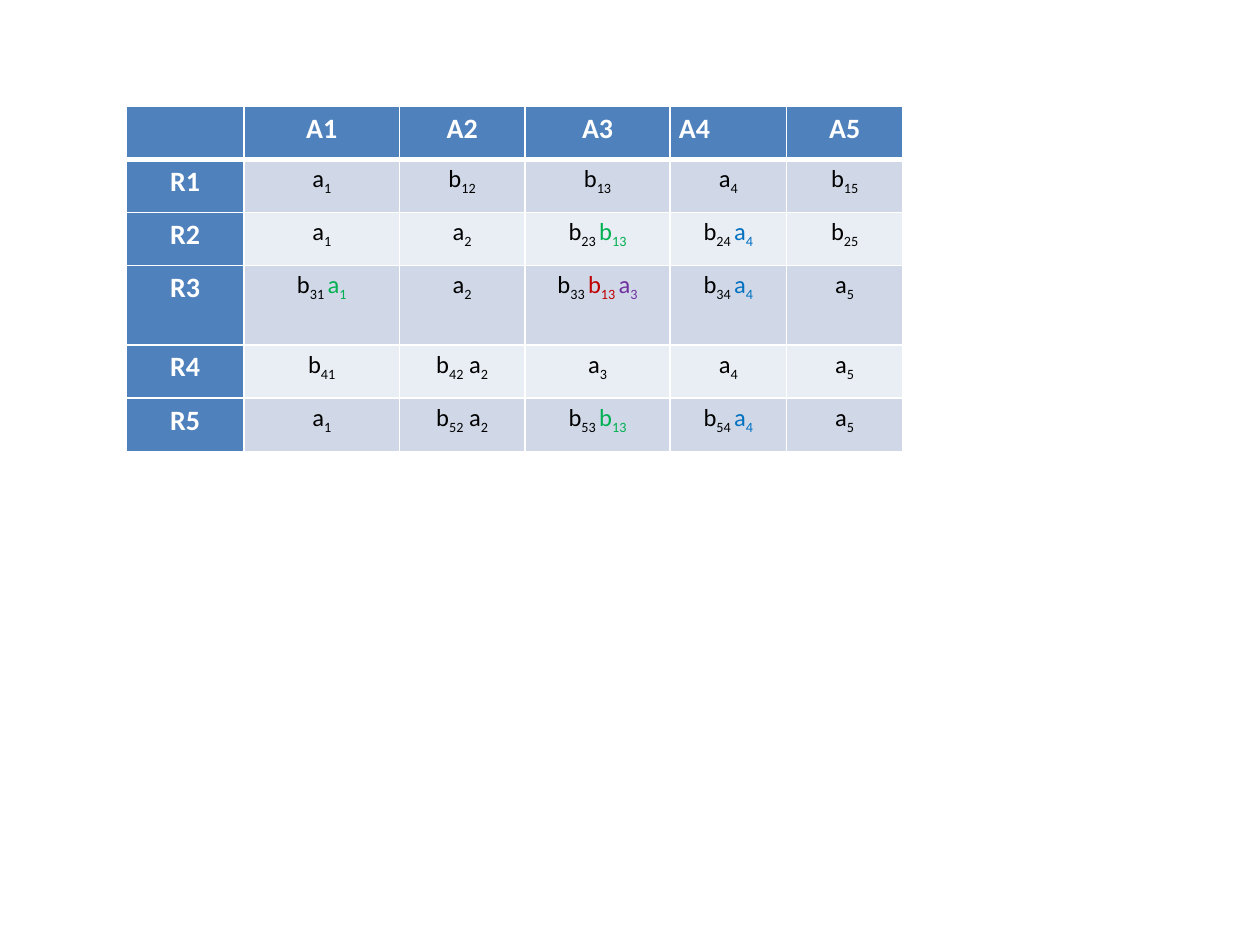
import pptx
import pptx.dml.color
import pptx.enum.text
import pptx.oxml
import pptx.oxml.ns
import pptx.util

Pt = pptx.util.Pt
ALIGN = pptx.enum.text.PP_ALIGN
BLUE, WHITE, BLACK = "4F81BD", "FFFFFF", "000000"
GREEN, SKY, RED, PURPLE = "00B050", "0070C0", "C00000", "7030A0"
BANDS = ("D0D8E8", "E9EDF4")

COLUMN_WIDTHS = (67.5, 88.75, 71.75, 83, 66.5, 66.5)
ROW_HEIGHTS = (30.35, 30.35, 30.35, 45.5, 30.35, 30.35)
HEADERS = ("", "А1", "А2", "А3", "А4", "А5")

# Each symbol is a letter with its index, or a (symbol, colour) pair
ROWS = {
    "R1": (["a1"], ["b12"], ["b13"], ["a4"], ["b15"]),
    "R2": (["a1"], ["a2"], ["b23", ("b13", GREEN)], ["b24", ("a4", SKY)], ["b25"]),
    "R3": (["b31", ("a1", GREEN)], ["a2"],
           ["b33", ("b13", RED), ("a3", PURPLE)], ["b34", ("a4", SKY)], ["a5"]),
    "R4": (["b41"], ["b42", "a2"], ["a3"], ["a4"], ["a5"]),
    "R5": (["a1"], ["b52", "a2"], ["b53", ("b13", GREEN)], ["b54", ("a4", SKY)], ["a5"]),
}


def rgb(color):
    return pptx.dml.color.RGBColor.from_string(color)


def add_run(paragraph, text, size, color, bold=False, subscript=False):
    run = paragraph.add_run()
    run.text = text
    run.font.name = "Calibri"
    run.font.size = Pt(size)
    run.font.bold = bold
    run.font.color.rgb = rgb(color)
    if subscript:
        run.font._element.set("baseline", "-25000")


def format_cell(cell, fill, top=1, bottom=1):
    """Set borders, fill and margins; return the cell's paragraph."""
    properties = cell._tc.get_or_add_tcPr()
    for side, width in (("L", 1), ("R", 1), ("T", top), ("B", bottom)):
        properties.append(pptx.oxml.parse_xml(
            f'<a:ln{side} {pptx.oxml.ns.nsdecls("a")} w="{Pt(width)}">'
            f'<a:solidFill><a:srgbClr val="{WHITE}"/></a:solidFill></a:ln{side}>'))
    cell.fill.solid()
    cell.fill.fore_color.rgb = rgb(fill)
    cell.margin_left = cell.margin_right = Pt(5)
    cell.margin_top = cell.margin_bottom = Pt(0)
    paragraph = cell.text_frame.paragraphs[0]
    paragraph.alignment = ALIGN.CENTER
    paragraph.line_spacing = 1.15
    return paragraph


def add_symbols(paragraph, symbols):
    pairs = [(s, BLACK) if isinstance(s, str) else s for s in symbols]
    for i, (symbol, color) in enumerate(pairs):
        # The gap belongs to the index before a coloured symbol,
        # and to the letter of a black one
        lead = " " if i and color == BLACK else ""
        follows = i + 1 < len(pairs) and pairs[i + 1][1] != BLACK
        add_run(paragraph, lead + symbol[0], 14, color)
        add_run(paragraph, symbol[1:] + (" " if follows else ""), 14, color,
                subscript=True)


def add_tableau(slide, left, top, width, height):
    shape = slide.shapes.add_table(len(ROW_HEIGHTS), len(COLUMN_WIDTHS),
                                   Pt(left), Pt(top), Pt(width), Pt(height))
    table = shape.table
    table.first_row = table.horz_banding = False
    for column, share in zip(table.columns, COLUMN_WIDTHS):
        column.width = Pt(width * share / sum(COLUMN_WIDTHS))
    for row, share in zip(table.rows, ROW_HEIGHTS):
        row.height = Pt(height * share / sum(ROW_HEIGHTS))

    # Header row
    for c, header in enumerate(HEADERS):
        paragraph = format_cell(table.cell(0, c), BLUE, bottom=3)
        if header:
            add_run(paragraph, header, 16, WHITE, bold=True)
        if header == "А4":
            paragraph.alignment = ALIGN.LEFT

    # Body rows, each led by its name
    for r, (name, cells) in enumerate(ROWS.items(), 1):
        edge = 3 if r == 1 else 1
        paragraph = format_cell(table.cell(r, 0), BLUE, top=edge)
        add_run(paragraph, name, 16, WHITE, bold=True)
        for c, symbols in enumerate(cells, 1):
            paragraph = format_cell(table.cell(r, c), BANDS[(r - 1) % 2], top=edge)
            add_symbols(paragraph, symbols)


presentation = pptx.Presentation()
presentation.slide_width, presentation.slide_height = Pt(720), Pt(540)
slide = presentation.slides.add_slide(presentation.slide_layouts[6])
add_tableau(slide, 72, 60.75, 444, 197.25)
presentation.save("out.pptx")
